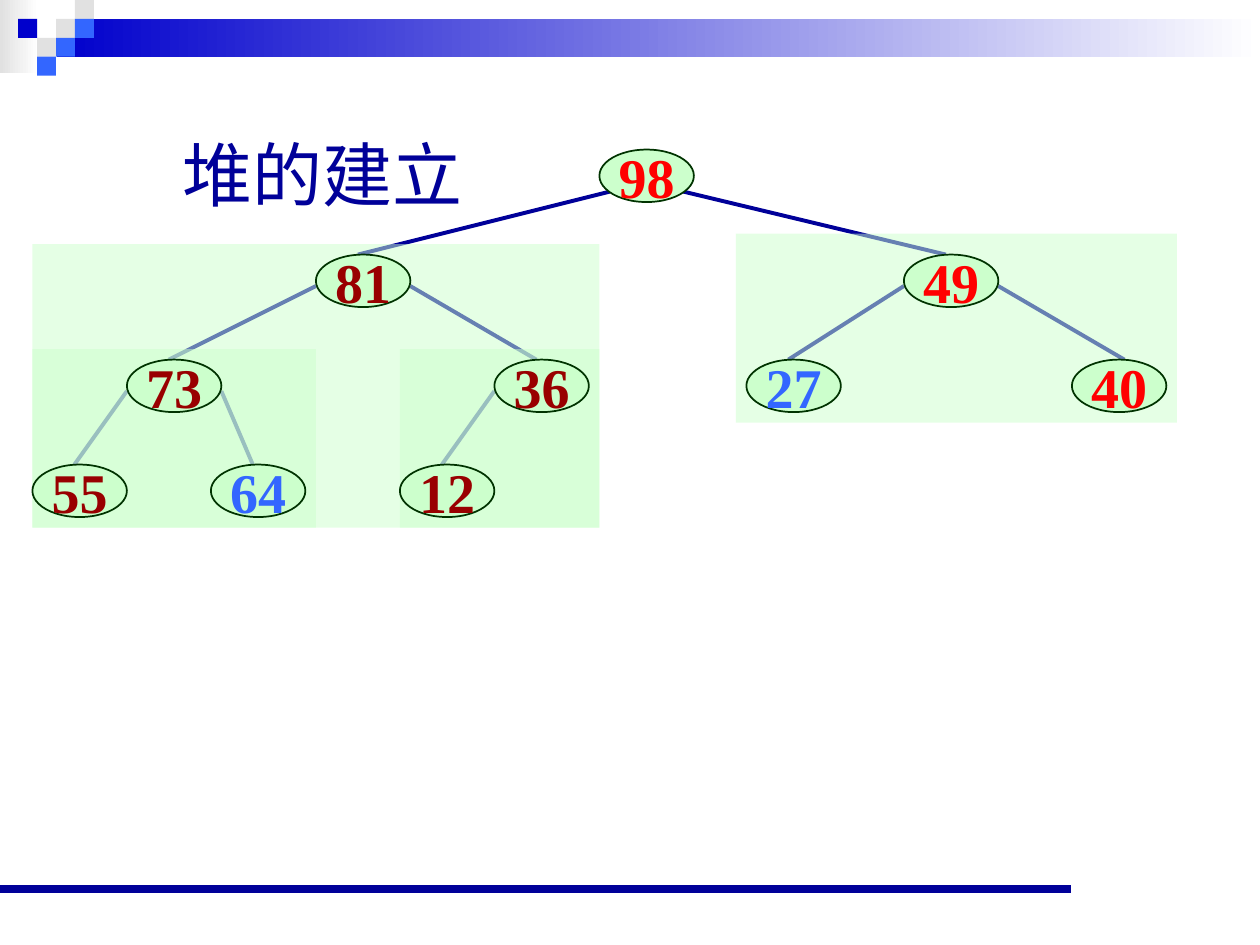
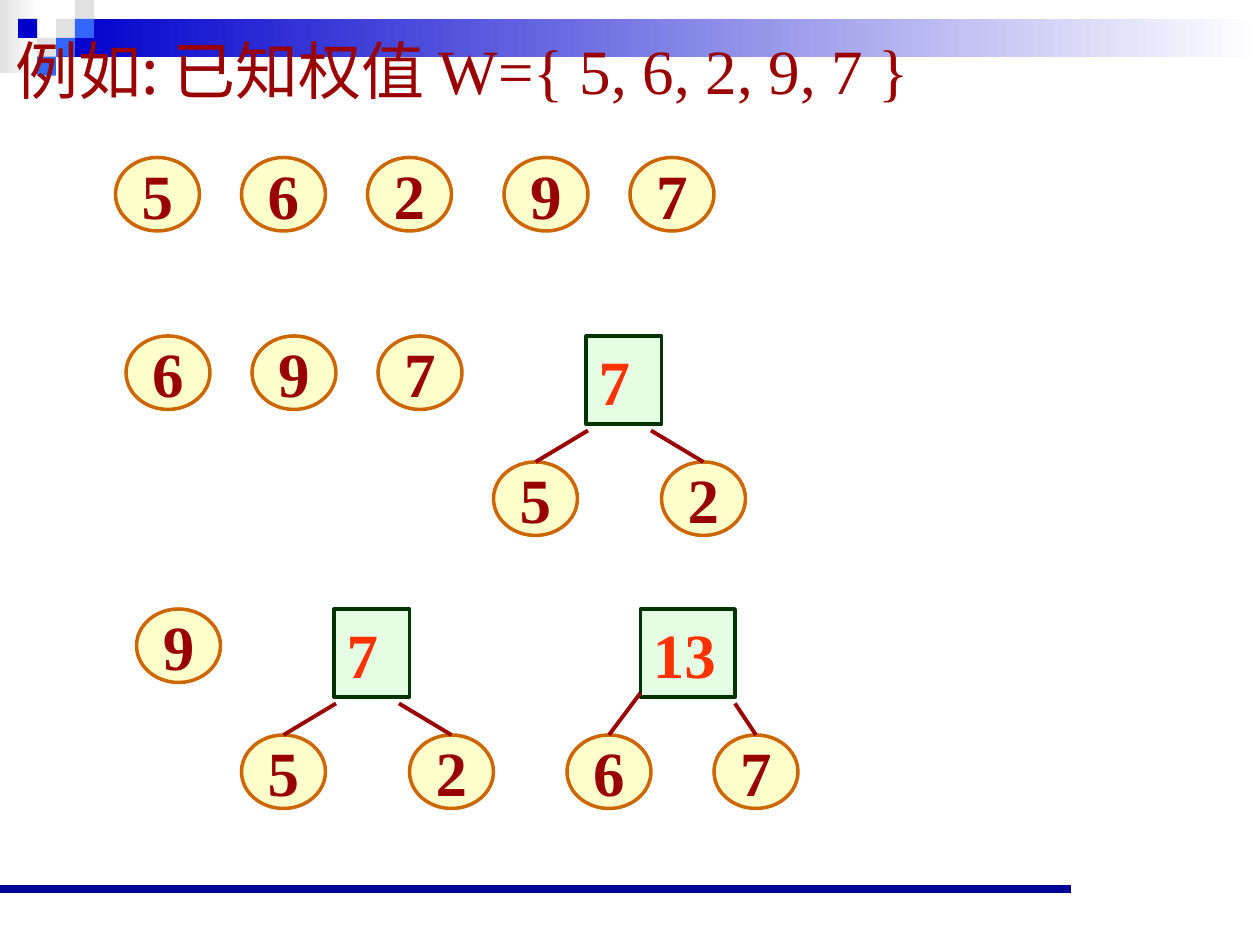
from typing import NamedTuple

from lxml import etree
from pptx import Presentation
from pptx.dml.color import RGBColor
from pptx.enum.shapes import MSO_CONNECTOR, MSO_SHAPE
from pptx.enum.text import MSO_ANCHOR, MSO_AUTO_SIZE, PP_ALIGN
from pptx.oxml.ns import qn
from pptx.util import Pt

RECTANGLE, OVAL = MSO_SHAPE.RECTANGLE, MSO_SHAPE.OVAL
STRAIGHT = MSO_CONNECTOR.STRAIGHT
TOP, MIDDLE = MSO_ANCHOR.TOP, MSO_ANCHOR.MIDDLE
LEFT, CENTER = PP_ALIGN.LEFT, PP_ALIGN.CENTER
NO_AUTOSIZE = MSO_AUTO_SIZE.NONE

NAVY, BLUE, SKY, GRAY, WHITE = "000099", "0000CC", "3366FF", "E1E1E1", "FFFFFF"
MINT, FOREST, MAROON, RED = "CCFFCC", "003300", "990000", "FF0000"
CREAM, ORANGE, VERMILION = "FFFF99", "CC6600", "FF3300"
SERIF, SANS, CHINESE = "Times New Roman", "Arial", "Noto Sans CJK SC"
SQUARE = 10.8
HEAP_WIDTH, HEAP_HEIGHT, HEAP_TOP, LEVEL_STEP = 54, 30, 85.5, 60
LEAF_WIDTH, LEAF_HEIGHT = 48, 42


class Box(NamedTuple):
    left: float
    top: float
    width: float
    height: float


class Style(NamedTuple):
    fill: str
    opacity: int = 100
    line: str = ""
    line_width: float = 0


class Span(NamedTuple):
    text: str
    font: str


class HeapNode(NamedTuple):
    left: float
    level: int
    color: str
    parent: str = ""
    branch_shift: float = -3

    @property
    def top(self) -> float:
        return HEAP_TOP + self.level * LEVEL_STEP


class Leaf(NamedTuple):
    text: str
    left: float
    top: float


class WeightTree(NamedTuple):
    total: str
    box: Box
    leaves: tuple[Leaf, Leaf]
    branch_starts: tuple[tuple[float, float], tuple[float, float]]


PANEL = Style(MINT, 50)
HEAP_STYLE = Style(MINT, line=FOREST, line_width=1)
LEAF_STYLE = Style(CREAM, 50, ORANGE, 2)
TOTAL_STYLE = Style(MINT, 50, FOREST, 2)

CHECKER = [
    (2, 1, GRAY), (3, 0, GRAY), (3, 1, SKY), (1, 2, GRAY),
    (0, 1, BLUE), (2, 2, SKY), (1, 3, SKY),
]

HEAP = {
    "98": HeapNode(342.5, 0, RED),
    "81": HeapNode(180.5, 1, MAROON, "98"),
    "49": HeapNode(516.5, 1, RED, "98"),
    "73": HeapNode(72.5, 2, MAROON, "81"),
    "36": HeapNode(282.5, 2, MAROON, "81"),
    "27": HeapNode(426.5, 2, SKY, "49"),
    "40": HeapNode(612.5, 2, RED, "49", 3),
    "55": HeapNode(18.5, 3, MAROON, "73"),
    "64": HeapNode(120.5, 3, SKY, "73"),
    "12": HeapNode(228.5, 3, MAROON, "36"),
}

HEAP_PANELS = [
    Box(228.5, 199.5, 114, 102), Box(18.5, 199.5, 162, 102),
    Box(420.5, 133.5, 252, 108), Box(18.5, 139.5, 324, 162),
]

SINGLE_ROWS = [
    (90, {66: "5", 138: "6", 210: "2", 288: "9", 360: "7"}),
    (192, {72: "6", 144: "9", 216: "7"}),
    (348, {78: "9"}),
]


def rgb(color: str) -> RGBColor:
    return RGBColor.from_string(color)


def add_box(page, kind, box: Box, style: Style):
    shape = page.shapes.add_shape(kind, *map(Pt, box))
    shape.shadow.inherit = False
    shape.fill.solid()
    shape.fill.fore_color.rgb = rgb(style.fill)
    if style.opacity < 100:
        color = shape.element.spPr.find(qn("a:solidFill")).find(qn("a:srgbClr"))
        etree.SubElement(color, qn("a:alpha")).set("val", str(style.opacity * 1000))
    if style.line:
        shape.line.color.rgb = rgb(style.line)
        shape.line.width = Pt(style.line_width)
    else:
        shape.line.fill.background()
    return shape


def add_gradient(page, box: Box, color: str):
    shape = add_box(page, RECTANGLE, box, Style(color))
    shape.fill.gradient()
    shape.fill.gradient_angle = 0
    for stop, stop_color, position in zip(shape.fill.gradient_stops, (color, WHITE), (0, 1)):
        stop.color.rgb = rgb(stop_color)
        stop.position = position
    return shape


def add_line(page, start: tuple[float, float], end: tuple[float, float],
             color: str, width: float = 2.25):
    line = page.shapes.add_connector(STRAIGHT, *map(Pt, (*start, *end)))
    line.line.color.rgb = rgb(color)
    line.line.width = Pt(width)
    etree.SubElement(line.element.spPr, qn("a:effectLst"))
    return line


def write_number(shape, text: str, size: float, color: str,
                 align=CENTER, anchor=MIDDLE, wrap: bool = False) -> None:
    frame = shape.text_frame
    frame.text = text
    frame.word_wrap = wrap
    frame.vertical_anchor = anchor
    para = frame.paragraphs[0]
    para.alignment = align
    font = para.runs[0].font
    font.name, font.size, font.bold = SERIF, Pt(size), True
    font.color.rgb = rgb(color)


def write_title(page, box: Box, spans: list[Span], size: float, color: str) -> None:
    title = page.shapes.title
    title.left, title.top, title.width, title.height = map(Pt, box)
    frame = title.text_frame
    frame.word_wrap = True
    frame.auto_size = NO_AUTOSIZE
    frame.vertical_anchor = TOP
    para = frame.paragraphs[0]
    para.alignment = LEFT
    for span in spans:
        run = para.add_run()
        run.text = span.text
        run.font.name, run.font.size = span.font, Pt(size)
        run.font.color.rgb = rgb(color)
        east_asian = etree.SubElement(run.font._element, qn("a:ea"))
        east_asian.set("typeface", CHINESE)


def move_theme_to_layout(page, layout) -> None:
    for placeholder in list(layout.placeholders)[1:]:
        layout.shapes.element.remove(placeholder.element)
    theme = [
        add_gradient(page, Box(0, 0, 22, 42), GRAY),
        add_gradient(page, Box(32.4, SQUARE, 687.6, 2 * SQUARE), BLUE),
    ]
    for column, row, color in CHECKER:
        box = Box(10.4 + column * SQUARE, row * SQUARE, SQUARE, SQUARE)
        theme.append(add_box(page, RECTANGLE, box, Style(color)))
    theme.append(add_line(page, (0, 508), (612, 508), NAVY, 4.5))
    for shape in theme:
        layout.shapes.element.append(shape.element)


def draw_heap_branch(page, child: HeapNode) -> None:
    parent = HEAP[child.parent]
    inset, drop = (6, 24) if parent.level == 0 else (0, 18)
    on_left = child.left < parent.left
    start_x = parent.left + (inset if on_left else HEAP_WIDTH - inset)
    end = (child.left + HEAP_WIDTH / 2 + child.branch_shift, child.top)
    add_line(page, (start_x, parent.top + drop), end, NAVY)


def draw_heap(page) -> None:
    write_title(page, Box(97.2, 71.3, 178, 55.4), [Span("堆的建立", SANS)], 40, NAVY)
    for node in HEAP.values():
        if node.parent:
            draw_heap_branch(page, node)
    for panel in HEAP_PANELS:
        add_box(page, RECTANGLE, panel, PANEL)
    for key, node in HEAP.items():
        box = Box(node.left, node.top, HEAP_WIDTH, HEAP_HEIGHT)
        write_number(add_box(page, OVAL, box, HEAP_STYLE), key, 32, node.color)


def draw_leaf(page, leaf: Leaf) -> None:
    box = Box(leaf.left, leaf.top, LEAF_WIDTH, LEAF_HEIGHT)
    write_number(add_box(page, OVAL, box, LEAF_STYLE), leaf.text, 36, MAROON)


def five_two_tree(left: float, top: float) -> WeightTree:
    return WeightTree(
        "7", Box(left + 53, top, 43, 50.4),
        (Leaf("5", left, top + 72), Leaf("2", left + 96, top + 72)),
        ((left + 54, top + 54), (left + 90, top + 54)),
    )


def draw_tree(page, tree: WeightTree) -> None:
    total = add_box(page, RECTANGLE, tree.box, TOTAL_STYLE)
    write_number(total, tree.total, 36, VERMILION, LEFT, TOP, True)
    for leaf, start in zip(tree.leaves, tree.branch_starts):
        draw_leaf(page, leaf)
        add_line(page, start, (leaf.left + LEAF_WIDTH / 2, leaf.top), MAROON)


def draw_weights(page) -> None:
    spans = [Span("例如: 已知权值 ", CHINESE), Span("W={ 5, 6, 2, 9, 7 }", SERIF)]
    write_title(page, Box(1.4, 14.4, 586, 50.4), spans, 36, MAROON)
    for top, singles in SINGLE_ROWS:
        for left, text in singles.items():
            draw_leaf(page, Leaf(text, left, top))
    thirteen = WeightTree(
        "13", Box(366, 348, 54, 50.4),
        (Leaf("6", 324, 420), Leaf("7", 408, 420)),
        ((366, 396), (420, 402)),
    )
    for tree in (five_two_tree(282, 192), five_two_tree(138, 348), thirteen):
        draw_tree(page, tree)


def main() -> None:
    deck = Presentation()
    deck.slide_width, deck.slide_height = Pt(720), Pt(540)
    layout = deck.slide_layouts[5]
    heap_page = deck.slides.add_slide(layout)
    move_theme_to_layout(heap_page, layout)
    draw_heap(heap_page)
    draw_weights(deck.slides.add_slide(layout))
    deck.save("out.pptx")


if __name__ == "__main__":
    main()
